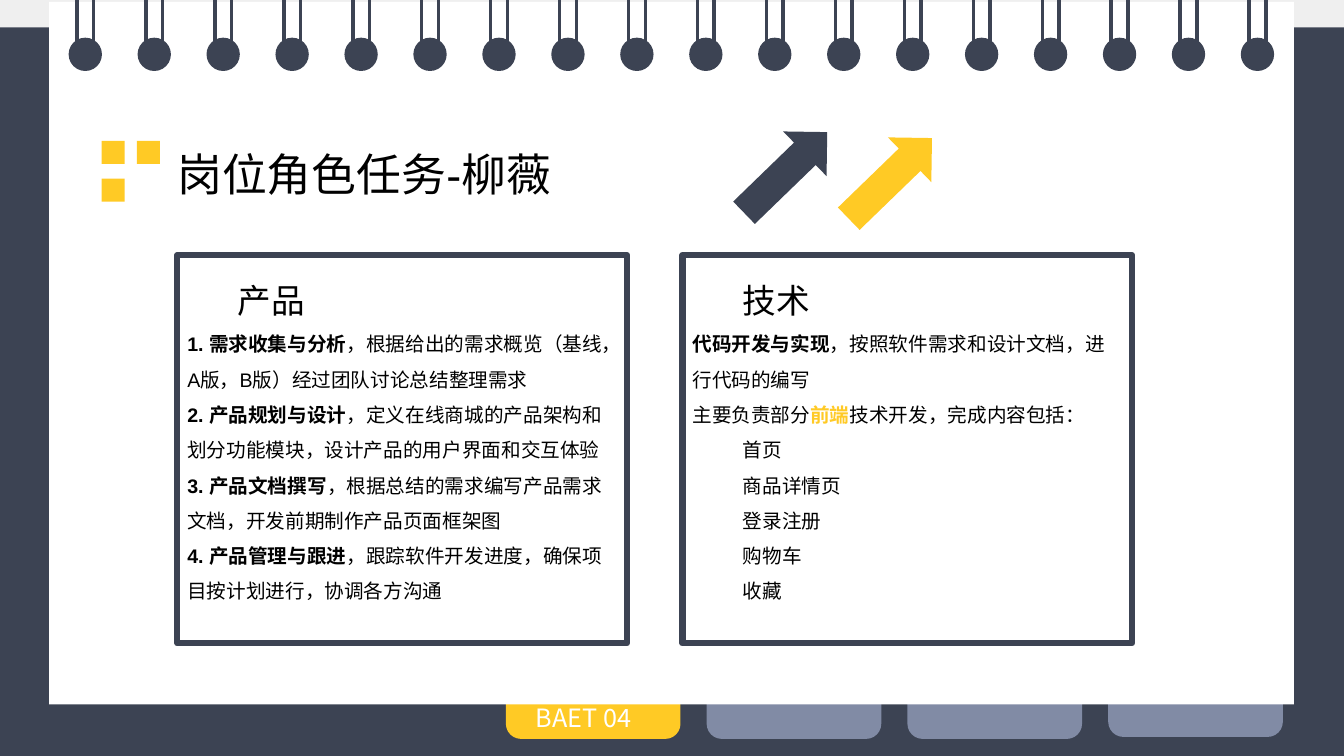
from lxml import etree
from pptx import Presentation
from pptx import util as u
from pptx.dml import color
from pptx.enum import shapes, text
from pptx.oxml import ns

NAVY, YELLOW, SLATE = "3C4353", "FFCA25", "818BA5"
PALE, WHITE, BLACK = "EFEFEF", "FFFFFF", "000000"
LATIN, CHINESE = "Arial", "Noto Sans CJK SC"
SHAPE = shapes.MSO_SHAPE
WIDTH, HEIGHT = 33.87, 19.05
RINGS = 18


def rgb(code):
    return color.RGBColor.from_string(code)


class Notebook:
    def __init__(self, slide):
        self.shapes = slide.shapes

    def block(self, kind, left, top, width, height, fill=None, border=None, turn=0):
        shape = self.shapes.add_shape(kind, *map(u.Cm, (left, top, width, height)))
        shape.shadow.inherit = False
        shape.rotation = turn
        if fill:
            shape.fill.solid()
            shape.fill.fore_color.rgb = rgb(fill)
        else:
            shape.fill.background()
        if border:
            shape.line.color.rgb = rgb(border)
            shape.line.width = u.Pt(4.5)
        else:
            shape.line.fill.background()
        return shape

    def wire(self, x, bottom):
        """Draw one vertical binding wire from the top edge."""
        line = self.shapes.add_connector(
            shapes.MSO_CONNECTOR.STRAIGHT, u.Cm(x), 0, u.Cm(x), u.Cm(bottom))
        line.line.color.rgb = rgb(NAVY)
        line.line.width = u.Pt(2.5)
        etree.SubElement(line._element.spPr, ns.qn("a:effectLst"))

    def style(self, run, size, ink=BLACK, bold=False, latin=LATIN):
        run.font.size = u.Pt(size)
        run.font.bold = bold
        run.font.name = latin
        run.font.color.rgb = rgb(ink)
        east_asian = etree.Element(ns.qn("a:ea"), typeface=CHINESE)
        run.font._element.find(ns.qn("a:latin")).addnext(east_asian)

    def label(self, words, left, top, width, height, size, **look):
        box = self.shapes.add_textbox(*map(u.Cm, (left, top, width, height)))
        box.text_frame.word_wrap = True
        box.text_frame.text = words
        paragraph = box.text_frame.paragraphs[0]
        self.style(paragraph.runs[0], size, **look)
        return paragraph

    def duties(self, left, heading, lines, items=()):
        """Frame a role: heading and lines share a paragraph, items follow."""
        panel = self.block(SHAPE.RECTANGLE, left, 6.43, 11.33, 9.78, border=NAVY)
        frame = panel.text_frame
        frame.word_wrap = True
        frame.vertical_anchor = text.MSO_ANCHOR.TOP
        frame.text = "\n".join([heading, *items])
        for paragraph in frame.paragraphs:
            paragraph.alignment = text.PP_ALIGN.LEFT
            paragraph.line_spacing = 1.5
            paragraph._p.get_or_add_pPr().set("indent", str(u.Cm(1.27)))
            self.style(paragraph.runs[0], 14)
        role = frame.paragraphs[0]
        role.runs[0].font.size = u.Pt(24)
        for line in lines:
            role.add_line_break()
            for words, ink, bold in line:
                run = role.add_run()
                run.text = words
                self.style(run, 14, ink, bold)


def main():
    deck = Presentation()
    deck.slide_width, deck.slide_height = u.Cm(WIDTH), u.Cm(HEIGHT)
    page = Notebook(deck.slides.add_slide(deck.slide_layouts[6]))

    page.block(SHAPE.RECTANGLE, 0, 0, WIDTH, HEIGHT, NAVY)
    page.block(SHAPE.RECTANGLE, 0, 0, WIDTH, 0.69, PALE)
    for index, fill in enumerate([YELLOW, SLATE, SLATE, SLATE]):
        top = 16.28 if index == 3 else 16.33
        page.block(SHAPE.ROUNDED_RECTANGLE, 12.75 + 5.06 * index, top, 4.4, 2.29, fill)
    tab_name = page.label("BAET 04", 13.25, 17.58, 3.39, 1.02, 18,
                          ink=WHITE, latin=CHINESE)
    tab_name.alignment = text.PP_ALIGN.JUSTIFY

    page.block(SHAPE.RECTANGLE, 1.24, 0.05, 31.37, 17.7, WHITE)
    ring_pitch = (31.27 - 1.73) / (RINGS - 1)
    for index in range(RINGS):
        left = 1.73 + ring_pitch * index
        page.block(SHAPE.OVAL, left, 0.95, 0.84, 0.84, NAVY)
        for offset in (-0.21, 0.21):
            page.wire(left + 0.42 + offset, 1.35)

    for column, row in [(0, 0), (1, 0), (0, 1)]:
        page.block(SHAPE.RECTANGLE, 2.56 + 0.89 * column, 3.55 + 0.95 * row,
                   0.58, 0.58, YELLOW)
    page.label("岗位角色任务-柳薇", 4.22, 3.56, 10.26, 1.63, 32)
    for left, top, fill in [(18.34, 3.56, NAVY), (20.98, 3.71, YELLOW)]:
        page.block(SHAPE.RIGHT_ARROW, left, top, 2.92, 1.57, fill, turn=315.9)

    product_tasks = [
        ("1. 需求收集与分析", "，根据给出的需求概览（基线，A版，B版）经过团队讨论总结整理需求"),
        ("2. 产品规划与设计", "，定义在线商城的产品架构和划分功能模块，设计产品的用户界面和交互体验"),
        ("3. 产品文档撰写", "，根据总结的需求编写产品需求文档，开发前期制作产品页面框架图"),
        ("4. 产品管理与跟进", "，跟踪软件开发进度，确保项目按计划进行，协调各方沟通"),
    ]
    page.duties(4.47, "产品", [
        [(task, BLACK, True), (detail, BLACK, False)] for task, detail in product_tasks
    ])
    page.duties(17.2, "技术", [
        [("代码开发与实现", BLACK, True),
         ("，按照软件需求和设计文档，进行代码的编写", BLACK, False)],
        [("主要负责部分", BLACK, False), ("前端", YELLOW, True),
         ("技术开发，完成内容包括：", BLACK, False)],
    ], ["首页", "商品详情页", "登录注册", "购物车", "收藏"])

    deck.save("out.pptx")


if __name__ == "__main__":
    main()
